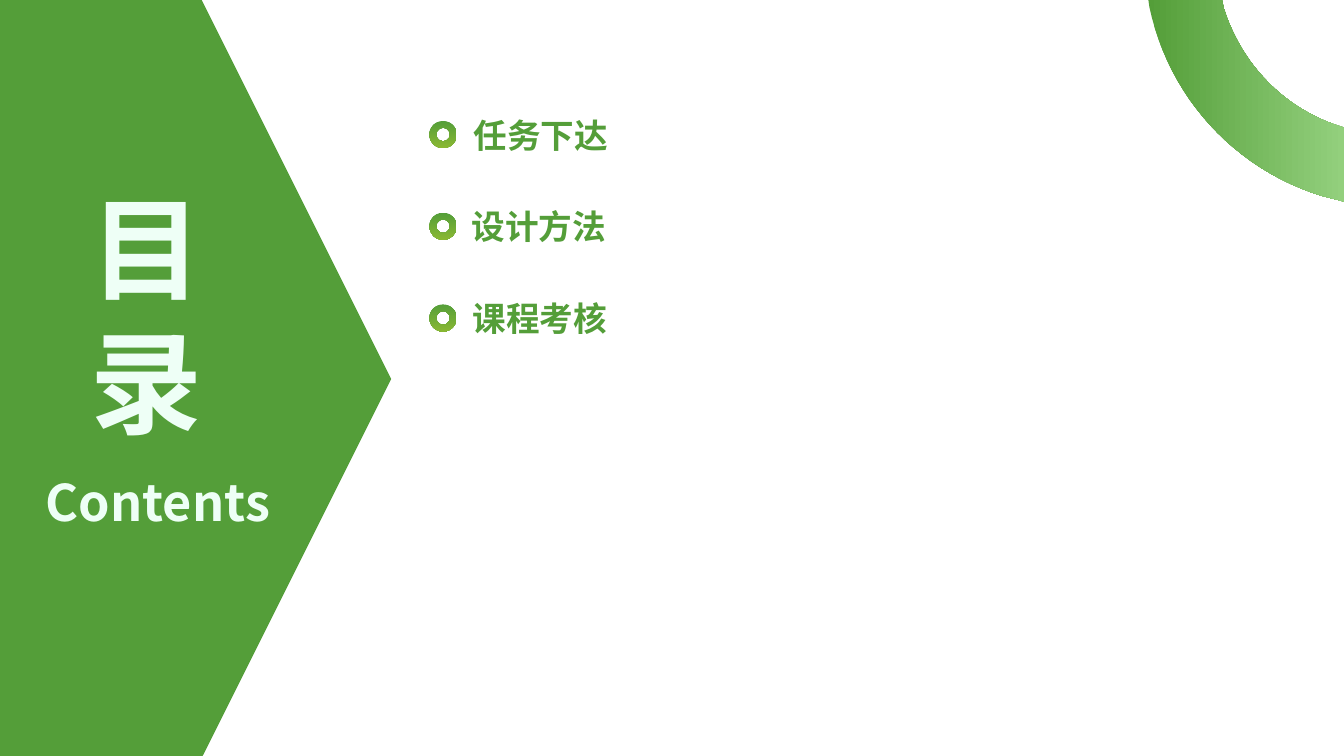
from lxml.etree import SubElement
from pptx import Presentation
from pptx.dml.color import RGBColor
from pptx.enum.shapes import MSO_SHAPE
from pptx.enum.text import MSO_ANCHOR, PP_ALIGN
from pptx.oxml.ns import qn
from pptx.util import Inches, Pt

FONT = "Noto Sans CJK SC"
COLORS = {
    "green": "549E39",
    "lime": "8AB833",
    "light_green": "93D07D",
    "mint": "EEFFF6",
}
CHAPTERS = [("任务下达", 0.34, 6.89), ("设计方法", 0.32, 7.16), ("课程考核", 0.33, 6.52)]
CHAPTER_STEP = 0.91
CURVE_STEPS = 24


def rgb(name):
    return RGBColor.from_string(COLORS[name])


def finish(shape):
    shape.line.fill.background()
    shape.shadow.inherit = False


def fill_gradient(shape, start, end, angle):
    shape.fill.gradient()
    shape.fill.gradient_angle = angle
    for stop, color in zip(shape.fill.gradient_stops, (start, end)):
        stop.color.rgb = rgb(color)


def add_outline(shapes, left, top, points):
    corners = [(Inches(left + x), Inches(top + y)) for x, y in points]
    builder = shapes.build_freeform(*corners[0])
    builder.add_line_segments(corners[1:], close=True)
    outline = builder.convert_to_shape()
    finish(outline)
    return outline


def add_label(shapes, left, top, width, height, wording, size, color,
              align=PP_ALIGN.LEFT, anchor=MSO_ANCHOR.TOP):
    label = shapes.add_textbox(Inches(left), Inches(top), Inches(width), Inches(height))
    frame = label.text_frame
    frame.word_wrap = True
    frame.vertical_anchor = anchor
    paragraph = frame.paragraphs[0]
    paragraph.alignment = align
    run = paragraph.add_run()
    run.text = wording
    run.font.name = FONT
    run.font.size = Pt(size)
    run.font.bold = True
    run.font.color.rgb = rgb(color)
    east_asian = SubElement(run.font._element, qn("a:ea"))
    east_asian.set("typeface", FONT)


def curve(start, control_1, control_2, end):
    points = []
    for step in range(CURVE_STEPS + 1):
        t = step / CURVE_STEPS
        weights = ((1 - t) ** 3, 3 * t * (1 - t) ** 2, 3 * t ** 2 * (1 - t), t ** 3)
        points.append(tuple(
            sum(weight * value for weight, value in zip(weights, axis))
            for axis in zip(start, control_1, control_2, end)
        ))
    return points


def add_corner_ring(slide, left, top, width, height):
    inner_edge = curve((0.75, 0.09), (0.93, 0.65), (1.36, 1.09), (1.92, 1.26))
    outer_edge = curve((1.71, 1.94), (0.85, 1.67), (0.2, 0.96), (0.01, 0.07))
    points = [(0, 0), (0.73, 0), *inner_edge, (width, 1.27), (width, height), *outer_edge]
    ring = add_outline(slide.shapes, left, top, points)
    fill_gradient(ring, "green", "light_green", 0)


def add_title_panel(slide, left, top, width, height):
    points = [(0, 0), (2, 0), (width, 3.76), (2.01, height), (0, height)]
    panel = add_outline(slide.shapes, left, top, points)
    panel.fill.solid()
    panel.fill.fore_color.rgb = rgb("green")
    add_label(slide.shapes, left + 0.54, top + 1.73, 1.82, 2.79,
              "目录", 80, "mint", PP_ALIGN.CENTER)
    add_label(slide.shapes, left + 0.15, top + 4.62, 2.83, 0.71,
              "Contents", 36, "mint", PP_ALIGN.CENTER)


def add_chapter(slide, left, top, width, height, wording, indent):
    chapter = slide.shapes.add_group_shape()
    bullet = chapter.shapes.add_shape(
        MSO_SHAPE.DONUT, Inches(left), Inches(top + 0.22), Inches(0.27), Inches(0.27))
    fill_gradient(bullet, "green", "lime", 270)
    finish(bullet)
    add_label(chapter.shapes, left + indent, top, width, height,
              wording, 24, "green", anchor=MSO_ANCHOR.MIDDLE)


def add_chapter_list(slide, left, top):
    for index, (wording, indent, width) in enumerate(CHAPTERS):
        add_chapter(slide, left, top + index * CHAPTER_STEP, width, 0.71, wording, indent)


def main():
    deck = Presentation()
    deck.slide_width = Inches(13.33)
    deck.slide_height = Inches(7.5)
    contents = deck.slides.add_slide(deck.slide_layouts[6])
    add_corner_ring(contents, 11.39, 0, 1.94, 2)
    add_title_panel(contents, 0, 0, 3.88, 7.5)
    add_chapter_list(contents, 4.26, 0.98)
    deck.save("out.pptx")


if __name__ == "__main__":
    main()
